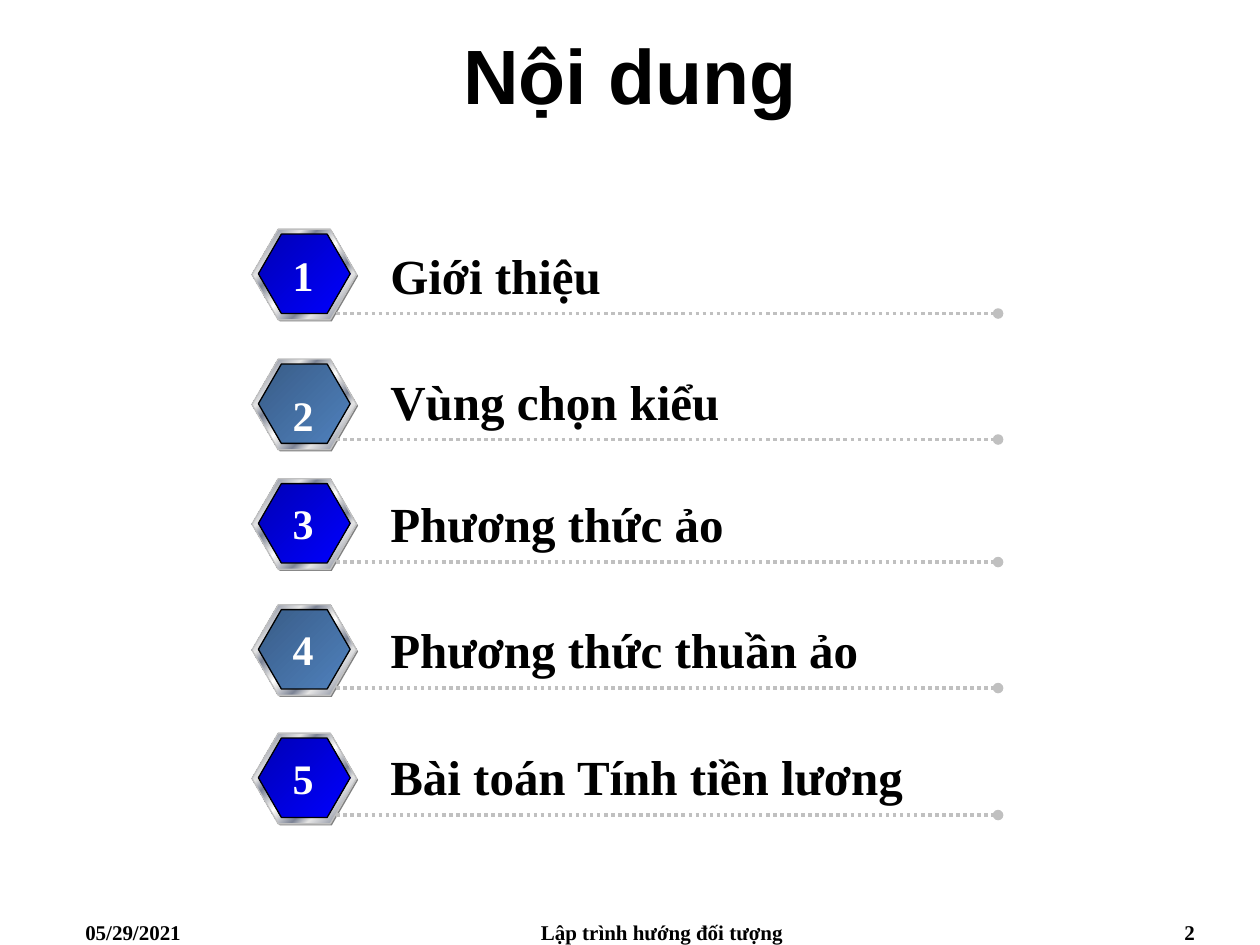
from dataclasses import dataclass

from lxml.etree import SubElement
from pptx import Presentation
from pptx.dml.color import RGBColor
from pptx.enum.dml import MSO_LINE_DASH_STYLE as Dash
from pptx.enum.shapes import MSO_CONNECTOR_TYPE as Connector
from pptx.enum.shapes import MSO_SHAPE as Shape
from pptx.enum.text import MSO_ANCHOR as Anchor
from pptx.enum.text import PP_ALIGN as Align
from pptx.oxml.ns import qn
from pptx.util import Cm, Pt

SERIF = "Times New Roman"
BLACK, WHITE, SILVER, GREY = "000000", "FFFFFF", "C0C0C0", "808080"
NAVY = [(0, "0000B6"), (100, "0000FF")]
STEEL = [(0, "395C87"), (100, "4F81BD")]
LIGHT, DARK = "E6E6E6", "7D8496"
CHROME = [(0, LIGHT), (7, DARK), (26, LIGHT), (34, DARK), (46, LIGHT), (50, WHITE),
          (54, LIGHT), (66, DARK), (74, LIGHT), (93, DARK), (100, LIGHT)]


@dataclass
class Topic:
    label: str
    badge_top: float
    number_top: float
    rule_y: float


@dataclass
class Footer:
    text: str
    left: float
    width: float
    align: Align


TOPICS = [
    Topic("Giới thiệu", 4.62, 4.9, 6.32),
    Topic("Vùng chọn kiểu", 7.24, 7.72, 8.86),
    Topic("Phương thức ảo", 9.65, 9.91, 11.33),
    Topic("Phương thức thuần ảo", 12.19, 12.45, 13.87),
    Topic("Bài toán Tính tiền lương", 14.78, 15.04, 16.43),
]
FOOTERS = [
    Footer("05/29/2021", 1.47, 5.92, Align.LEFT),
    Footer("Lập trình hướng đối tượng", 9.32, 8.05, Align.CENTER),
    Footer("2", 18.42, 5.92, Align.RIGHT),
]


def rgb(color: str) -> RGBColor:
    return RGBColor.from_string(color)


def format_text(text_frame, text: str, size: float, color: str = BLACK,
                align: Align = Align.LEFT, font: str = SERIF) -> None:
    text_frame.text = text
    paragraph = text_frame.paragraphs[0]
    paragraph.alignment = align
    run_font = paragraph.runs[0].font
    run_font.name, run_font.size, run_font.bold = font, Pt(size), True
    run_font.color.rgb = rgb(color)


def add_text(slide, text: str, left: float, top: float, width: float, height: float,
             size: float, color: str = BLACK, align: Align = Align.LEFT,
             wrap: bool = True) -> None:
    box = slide.shapes.add_textbox(Cm(left), Cm(top), Cm(width), Cm(height))
    box.text_frame.word_wrap = wrap
    format_text(box.text_frame, text, size, color, align)


def add_hexagon(slide, left: float, top: float, width: float, height: float):
    hexagon = slide.shapes.add_shape(Shape.HEXAGON, Cm(left), Cm(top), Cm(width), Cm(height))
    hexagon.adjustments[0] = 0.29
    hexagon.shadow.inherit = False
    return hexagon


def fill_gradient(shape, stops: list[tuple[int, str]], line_color: str) -> None:
    shape.fill.gradient()
    shape.fill.gradient_angle = 315
    stop_list = shape.fill._xPr.find(qn("a:gradFill")).find(qn("a:gsLst"))
    for old_stop in list(stop_list):
        stop_list.remove(old_stop)
    for position, color in stops:
        stop = SubElement(stop_list, qn("a:gs"), pos=str(position * 1000))
        SubElement(stop, qn("a:srgbClr"), val=color)
    shape.line.color.rgb = rgb(line_color)
    shape.line.width = Pt(0.75)


def add_badge(slide, top: float, stops: list[tuple[int, str]]) -> None:
    shade = add_hexagon(slide, 5.11, top + 0.03, 2.11, 1.83)
    shade.fill.solid()
    shade.fill.fore_color.rgb = rgb(GREY)
    shade.line.fill.background()
    fill_gradient(add_hexagon(slide, 5.08, top, 2.11, 1.83), CHROME, SILVER)
    fill_gradient(add_hexagon(slide, 5.21, top + 0.1, 1.85, 1.6), stops, BLACK)


def add_rule(slide, y: float) -> None:
    rule = slide.shapes.add_connector(Connector.STRAIGHT, Cm(6.78), Cm(y), Cm(20.12), Cm(y))
    rule.line.color.rgb = rgb(SILVER)
    rule.line.width = Pt(2)
    rule.line.dash_style = Dash.ROUND_DOT
    SubElement(rule.line._get_or_add_ln(), qn("a:tailEnd"), type="oval")
    SubElement(rule._element.spPr, qn("a:effectLst"))


def add_topic(slide, number: int, topic: Topic) -> None:
    add_badge(slide, topic.badge_top, NAVY if number % 2 else STEEL)
    add_rule(slide, topic.rule_y)
    add_text(slide, topic.label, 7.62, topic.rule_y - 1.5, 12.5, 1.45, 28)
    add_text(slide, str(number), 5.64, topic.number_top, 0.94, 1.27, 24,
             WHITE, Align.CENTER, wrap=False)


def main() -> None:
    presentation = Presentation()
    presentation.slide_width, presentation.slide_height = Cm(25.4), Cm(19.05)
    slide = presentation.slides.add_slide(presentation.slide_layouts[5])

    # Title
    title = slide.shapes.title
    title.left, title.top, title.width, title.height = Cm(0), Cm(0), Cm(25.4), Cm(2.97)
    title.text_frame.vertical_anchor = Anchor.MIDDLE
    format_text(title.text_frame, "Nội dung", 44, align=Align.CENTER, font="Arial")

    # Numbered topics
    for number, topic in enumerate(TOPICS, start=1):
        add_topic(slide, number, topic)

    # Footer line
    for footer in FOOTERS:
        add_text(slide, footer.text, footer.left, 18.42, footer.width, 0.63, 12,
                 align=footer.align)

    presentation.save("out.pptx")


if __name__ == "__main__":
    main()
